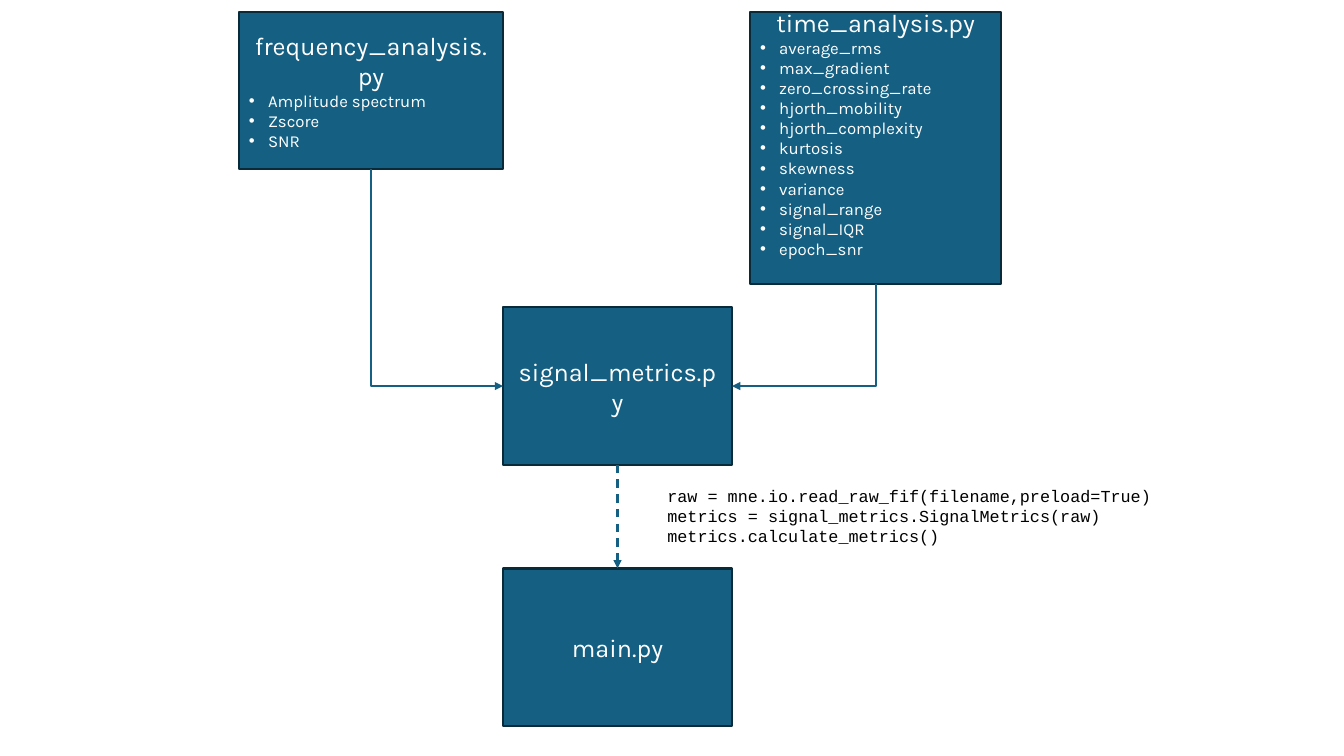
import lxml.etree
import pptx
import pptx.dml.color
import pptx.enum.dml
import pptx.enum.shapes
import pptx.enum.text
import pptx.oxml.ns
import pptx.util

Inches = pptx.util.Inches
Pt = pptx.util.Pt
qn = pptx.oxml.ns.qn

# Connection sites of a rectangle
TOP, LEFT, BOTTOM, RIGHT = range(4)


def colour(value):
    return pptx.dml.color.RGBColor.from_string(value)


def add_element(parent, tag, **attributes):
    return lxml.etree.SubElement(parent, qn(tag), **attributes)


class Diagram:
    """Style and current slide; lengths are percentages of the slide's size."""

    fill, edge, light, dark = "156082", "092A39", "FFFFFF", "000000"
    body_font, code_font = "Karla", "Courier New"
    title_size, text_size, line_width = Pt(18), Pt(12), Pt(1.5)
    bullet_indent = Inches(0.19)

    def __init__(self, deck):
        self.deck = deck
        self.page = deck.slides.add_slide(deck.slide_layouts[6])

    def place(self, left, top, width, height):
        across, down = self.deck.slide_width / 100, self.deck.slide_height / 100
        return (round(left * across), round(top * down),
                round(width * across), round(height * down))

    def set_text(self, para, text, font, size, ink):
        para.text = text
        para.font.name = font
        para.font.size = size
        para.font.color.rgb = colour(ink)

    def module(self, area, title, items=(), bottom_margin=0.05):
        box = self.page.shapes.add_shape(
            pptx.enum.shapes.MSO_SHAPE.RECTANGLE, *self.place(*area))
        box.shadow.inherit = False
        box.fill.solid()
        box.fill.fore_color.rgb = colour(self.fill)
        box.line.color.rgb = colour(self.edge)
        box.line.width = self.line_width
        frame = box.text_frame
        frame.word_wrap = True
        frame.vertical_anchor = pptx.enum.text.MSO_ANCHOR.MIDDLE
        frame.margin_bottom = Inches(bottom_margin)
        heading = frame.paragraphs[0]
        heading.alignment = pptx.enum.text.PP_ALIGN.CENTER
        self.set_text(heading, title, self.body_font, self.title_size, self.light)
        for item in items:
            self.bullet(frame.add_paragraph(), item)
        return box

    def bullet(self, para, text):
        para.alignment = pptx.enum.text.PP_ALIGN.LEFT
        properties = para._p.get_or_add_pPr()
        properties.set("marL", str(self.bullet_indent))
        properties.set("indent", str(-self.bullet_indent))
        add_element(properties, "a:buFont", typeface="Arial")
        add_element(properties, "a:buChar", char="•")
        self.set_text(para, text, self.body_font, self.text_size, self.light)

    def code(self, area, lines):
        box = self.page.shapes.add_textbox(*self.place(*area))
        frame = box.text_frame
        frame.word_wrap = True
        frame.auto_size = pptx.enum.text.MSO_AUTO_SIZE.SHAPE_TO_FIT_TEXT
        for number, text in enumerate(lines):
            para = frame.add_paragraph() if number else frame.paragraphs[0]
            self.set_text(para, text, self.code_font, self.text_size, self.dark)

    def arrow(self, source, target, site, dashed=False):
        kinds = pptx.enum.shapes.MSO_CONNECTOR
        link = self.page.shapes.add_connector(kinds.STRAIGHT, 0, 0, 0, 0)
        link.begin_connect(source, BOTTOM)
        link.end_connect(target, site)
        link.line.color.rgb = colour(self.fill)
        link.line.width = self.line_width
        if dashed:
            link.line.dash_style = pptx.enum.dml.MSO_LINE.DASH
        if site != TOP:
            self.bend(link)
        properties = link._element.spPr
        add_element(properties.find(qn("a:ln")), "a:tailEnd", type="triangle")
        add_element(properties, "a:effectLst")

    def bend(self, link):
        """Turn a straight link into one corner: first down, then sideways."""
        rightward = link.end_x > link.begin_x
        width, height = link.width, link.height
        middle_x, middle_y = link.left + width // 2, link.top + height // 2
        link.left, link.top = middle_x - height // 2, middle_y - width // 2
        link.width, link.height = height, width
        properties = link._element.spPr
        properties.find(qn("a:prstGeom")).set("prst", "bentConnector2")
        frame = properties.find(qn("a:xfrm"))
        frame.set("rot", str((270 if rightward else 90) * 60000))
        frame.set("flipH", "1" if rightward else "0")
        frame.set("flipV", "0")


def main():
    deck = pptx.Presentation()
    deck.slide_width, deck.slide_height = Inches(13.33), Inches(7.5)
    diagram = Diagram(deck)

    # Analysis modules
    frequency = diagram.module(
        (17.78, 1.6, 19.65, 20.8), "frequency_analysis.py",
        ["Amplitude spectrum", "Zscore", "SNR"])
    time = diagram.module(
        (55.81, 1.6, 18.68, 36), "time_analysis.py",
        ["average_rms", "max_gradient", "zero_crossing_rate",
         "hjorth_mobility", "hjorth_complexity", "kurtosis", "skewness",
         "variance", "signal_range", "signal_IQR", "epoch_snr"],
        bottom_margin=0.35)

    # Metrics and main program
    metrics, program = [
        diagram.module((37.43, top, 17.03, 20.8), title)
        for top, title in ((40.67, "signal_metrics.py"), (75.2, "main.py"))]

    # Flow between modules
    diagram.arrow(frequency, metrics, LEFT)
    diagram.arrow(time, metrics, RIGHT)
    diagram.arrow(metrics, program, TOP, dashed=True)

    # Example calls
    diagram.code((48.91, 63.6, 38.86, 9.47), [
        "raw = mne.io.read_raw_fif(filename,preload=True)",
        "metrics = signal_metrics.SignalMetrics(raw)",
        "metrics.calculate_metrics()"])

    deck.save("out.pptx")


if __name__ == "__main__":
    main()
